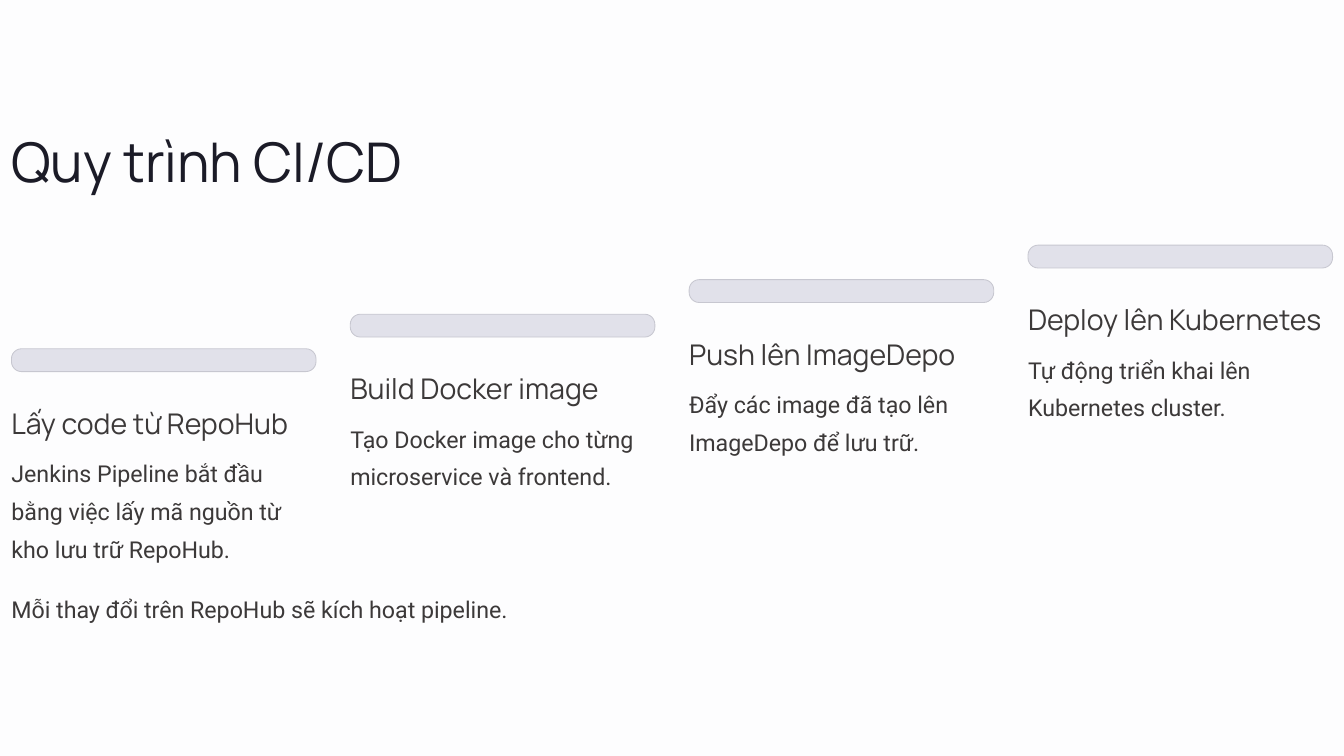
"""Builds the CI/CD process slide: four rising steps under a title."""
import pptx
import pptx.util
import pptx.dml.color
import pptx.enum.shapes

Inches, Pt = pptx.util.Inches, pptx.util.Pt

TITLE = "Quy trình CI/CD"
STEPS = [
    ("Lấy code từ RepoHub",
     "Jenkins Pipeline bắt đầu bằng việc lấy mã nguồn từ kho lưu trữ RepoHub."),
    ("Build Docker image",
     "Tạo Docker image cho từng microservice và frontend."),
    ("Push lên ImageDepo",
     "Đẩy các image đã tạo lên ImageDepo để lưu trữ."),
    ("Deploy lên Kubernetes",
     "Tự động triển khai lên Kubernetes cluster."),
]
FOOTNOTE = "Mỗi thay đổi trên RepoHub sẽ kích hoạt pipeline."

TITLE_STYLE = ("Manrope", 58.6, 73.1, "1B1B27")
HEADING_STYLE = ("Manrope", 30.5, 38.1, "3C3939")
BODY_STYLE = ("Roboto", 24.9, 40.5, "3C3939")

SLIDE_W, SLIDE_H = 20, 11.25
MARGIN, GAP = 0.17, 0.51
STEP_W = (SLIDE_W - 2 * MARGIN - GAP * (len(STEPS) - 1)) / len(STEPS)
FIRST_TOP, RISE = 5.19, 0.514
BAR_H, BAR_RADIUS = 0.34, 0.15


def color(value):
    return pptx.dml.color.RGBColor.from_string(value)


def add_text(s, text, left, top, width, height, style):
    name, size, spacing, fill = style
    tf = s.shapes.add_textbox(
        Inches(left), Inches(top), Inches(width), Inches(height)).text_frame
    tf.word_wrap = True
    tf.margin_left = tf.margin_top = tf.margin_right = tf.margin_bottom = 0
    p = tf.paragraphs[0]
    p.text = text
    p.line_spacing = Pt(spacing)
    p.font.name, p.font.size = name, Pt(size)
    p.font.color.rgb = color(fill)


def add_bar(s, left, top):
    sp = s.shapes.add_shape(
        pptx.enum.shapes.MSO_SHAPE.ROUNDED_RECTANGLE,
        Inches(left), Inches(top), Inches(STEP_W), Inches(BAR_H))
    sp.adjustments[0] = BAR_RADIUS / BAR_H
    sp.shadow.inherit = False
    sp.fill.solid()
    sp.fill.fore_color.rgb = color("E1E1EA")
    sp.line.color.rgb = color("C7C7D0")
    sp.line.width = Pt(0.9)


def main():
    prs = pptx.Presentation()
    prs.slide_width, prs.slide_height = Inches(SLIDE_W), Inches(SLIDE_H)
    s = prs.slides.add_slide(prs.slide_layouts[6])
    s.background.fill.solid()
    s.background.fill.fore_color.rgb = color("FDFDFE")

    add_text(s, TITLE, MARGIN, 1.86, 8.55, 1.38, TITLE_STYLE)
    for i, (heading, body) in enumerate(STEPS):
        left = MARGIN + i * (STEP_W + GAP)
        top = FIRST_TOP - i * RISE
        add_bar(s, left, top)
        add_text(s, heading, left, top + 0.83, STEP_W, 0.77, HEADING_STYLE)
        add_text(s, body, left, top + 1.5, STEP_W, 1.75 if i == 0 else 1.19, BODY_STYLE)
    add_text(s, FOOTNOTE, MARGIN, 8.71, SLIDE_W - 2 * MARGIN, 0.64, BODY_STYLE)

    prs.save("out.pptx")


if __name__ == "__main__":
    main()
